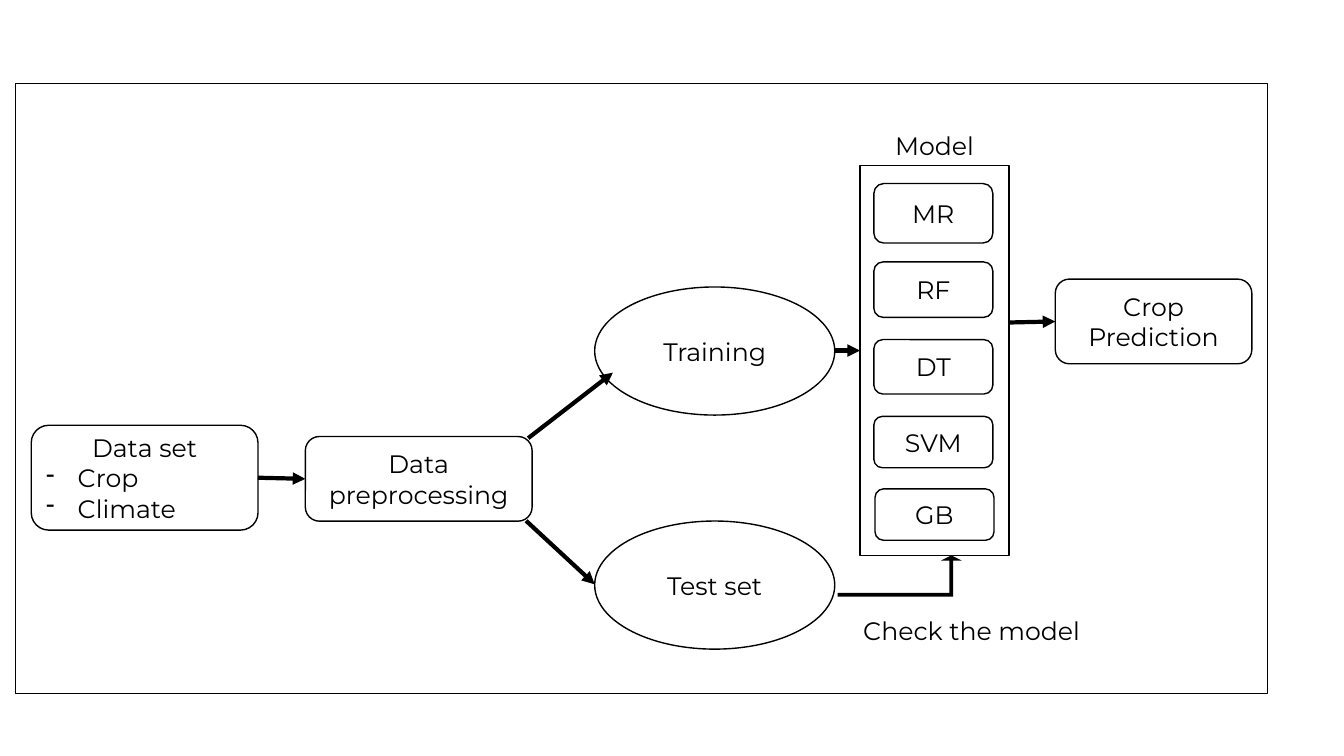
from lxml import etree
from pptx import Presentation
from pptx.dml.color import RGBColor
from pptx.enum.shapes import MSO_CONNECTOR, MSO_SHAPE as SHAPE
from pptx.enum.text import MSO_ANCHOR as ANCHOR, MSO_AUTO_SIZE as AUTO_SIZE, PP_ALIGN as ALIGN
from pptx.oxml.ns import qn
from pptx.util import Pt

BLACK = RGBColor(0x00, 0x00, 0x00)
WHITE = RGBColor(0xFF, 0xFF, 0xFF)
FONT = "Montserrat"
LIST_INDENT = 22.5


def write_text(paragraph, text, size=18, color=BLACK, align=ALIGN.CENTER, bullet=None):
    run = paragraph.add_run()
    run.text = text
    run.font.name = FONT
    run.font.size = Pt(size)
    run.font.color.rgb = color
    paragraph.alignment = align
    if bullet:
        properties = paragraph._p.get_or_add_pPr()
        properties.set("marL", str(Pt(LIST_INDENT)))
        properties.set("indent", str(-Pt(LIST_INDENT)))
        etree.SubElement(properties, qn("a:buChar")).set("char", bullet)


def add_node(slide, kind, box, text=None, fill=None, line=BLACK):
    shape = slide.shapes.add_shape(kind, *map(Pt, box))
    shape.shadow.inherit = False
    if fill is None:
        shape.fill.background()
    else:
        shape.fill.solid()
        shape.fill.fore_color.rgb = fill
    if line is None:
        shape.line.fill.background()
    else:
        shape.line.color.rgb = line
        shape.line.width = Pt(1)
    if text:
        shape.text_frame.word_wrap = True
        shape.text_frame.vertical_anchor = ANCHOR.MIDDLE
        write_text(shape.text_frame.paragraphs[0], text)
    return shape


def add_arrow(slide, start, end, source=None, target=None):
    arrow = slide.shapes.add_connector(MSO_CONNECTOR.STRAIGHT, *map(Pt, (*start, *end)))
    if source is not None:
        arrow.begin_connect(source, 3)
    if target is not None:
        arrow.end_connect(target, 1)
    arrow.line.color.rgb = BLACK
    arrow.line.width = Pt(3)
    etree.SubElement(arrow.line._get_or_add_ln(), qn("a:tailEnd")).set("type", "triangle")
    etree.SubElement(arrow._element.spPr, qn("a:effectLst"))


def add_preparation(slide, left, top, width, height):
    """Data set and preprocessing, side by side."""
    node_width = 162
    data_set = add_node(slide, SHAPE.ROUNDED_RECTANGLE, (left, top, node_width, height), "Data set")
    for item in ("Crop", "Climate"):
        write_text(data_set.text_frame.add_paragraph(), item, align=ALIGN.LEFT, bullet="-")
    step_left = left + width - node_width
    preprocessing = add_node(slide, SHAPE.ROUNDED_RECTANGLE,
                             (step_left, top + 8, node_width, 60.5), "Data preprocessing")
    middle = top + height / 2
    add_arrow(slide, (left + node_width, middle), (step_left, middle), data_set, preprocessing)


def add_split(slide, left, top, width, height):
    """Training and test sets, with the arrows that lead to them."""
    node_height = 91.5
    for text, node_top in (("Training", top), ("Test set", top + height - node_height)):
        add_node(slide, SHAPE.OVAL, (left, node_top, width, node_height), text)
    add_arrow(slide, (left - 47.5, top + 108), (left + 13, top + 61.2))
    add_arrow(slide, (left - 49, top + 167), (left, top + 212.4))
    add_arrow(slide, (left + width, top + 45.4), (left + width + 18, top + 45.4))


def add_models(slide, left, top, width, height):
    """Panel of models, its caption, and the check from the test set."""
    check = add_node(slide, SHAPE.BENT_UP_ARROW, (left - 15.9, top + height, 88.6, 29.5),
                     fill=BLACK, line=None)
    for index, value in enumerate((0.094, 0.25, 0.125)):
        check.adjustments[index] = value
    add_node(slide, SHAPE.RECTANGLE, (left, top, width, height))

    node_left, node_width = left + 10, 85
    caption = slide.shapes.add_textbox(*map(Pt, (node_left + 0.8, top - 28.8, node_width, 28.8)))
    caption.text_frame.word_wrap = True
    caption.text_frame.auto_size = AUTO_SIZE.SHAPE_TO_FIT_TEXT
    write_text(caption.text_frame.paragraphs[0], "Model")

    models = (("MR", 13, 42.5), ("RF", 69, 39.6), ("DT", 124.5, 38.9),
              ("SVM", 179.3, 36.7), ("GB", 231.1, 36.7))
    for name, offset, node_height in models:
        nudge = 0.8 if name == "GB" else 0
        add_node(slide, SHAPE.ROUNDED_RECTANGLE,
                 (node_left + nudge, top + offset, node_width, node_height), name)

    add_node(slide, SHAPE.RECTANGLE, (left - 15.9, top + height + 41, 191.5, 25.2),
             "Check the model", fill=WHITE, line=WHITE)


def add_prediction(slide, left, top, width, height):
    """Result, with the arrow from the models."""
    prediction = add_node(slide, SHAPE.ROUNDED_RECTANGLE, (left, top, width, height),
                          "Crop Prediction")
    middle = top + height / 2
    add_arrow(slide, (left - 32.5, middle + 0.7), (left, middle), target=prediction)


def main():
    presentation = Presentation()
    presentation.slide_width, presentation.slide_height = Pt(960), Pt(540)
    slide = presentation.slides.add_slide(presentation.slide_layouts[6])

    # Frame around the whole flow
    add_node(slide, SHAPE.RECTANGLE, (11.2, 59.8, 894.3, 435.6))

    # Flow from left to right
    add_preparation(slide, 22.3, 303.8, 357.8, 74.9)
    add_split(slide, 424.8, 205, 171.5, 258.7)
    add_models(slide, 614.2, 118.1, 106.6, 278.6)
    add_prediction(slide, 753.8, 199.4, 140.4, 60.5)

    presentation.save("out.pptx")


if __name__ == "__main__":
    main()
